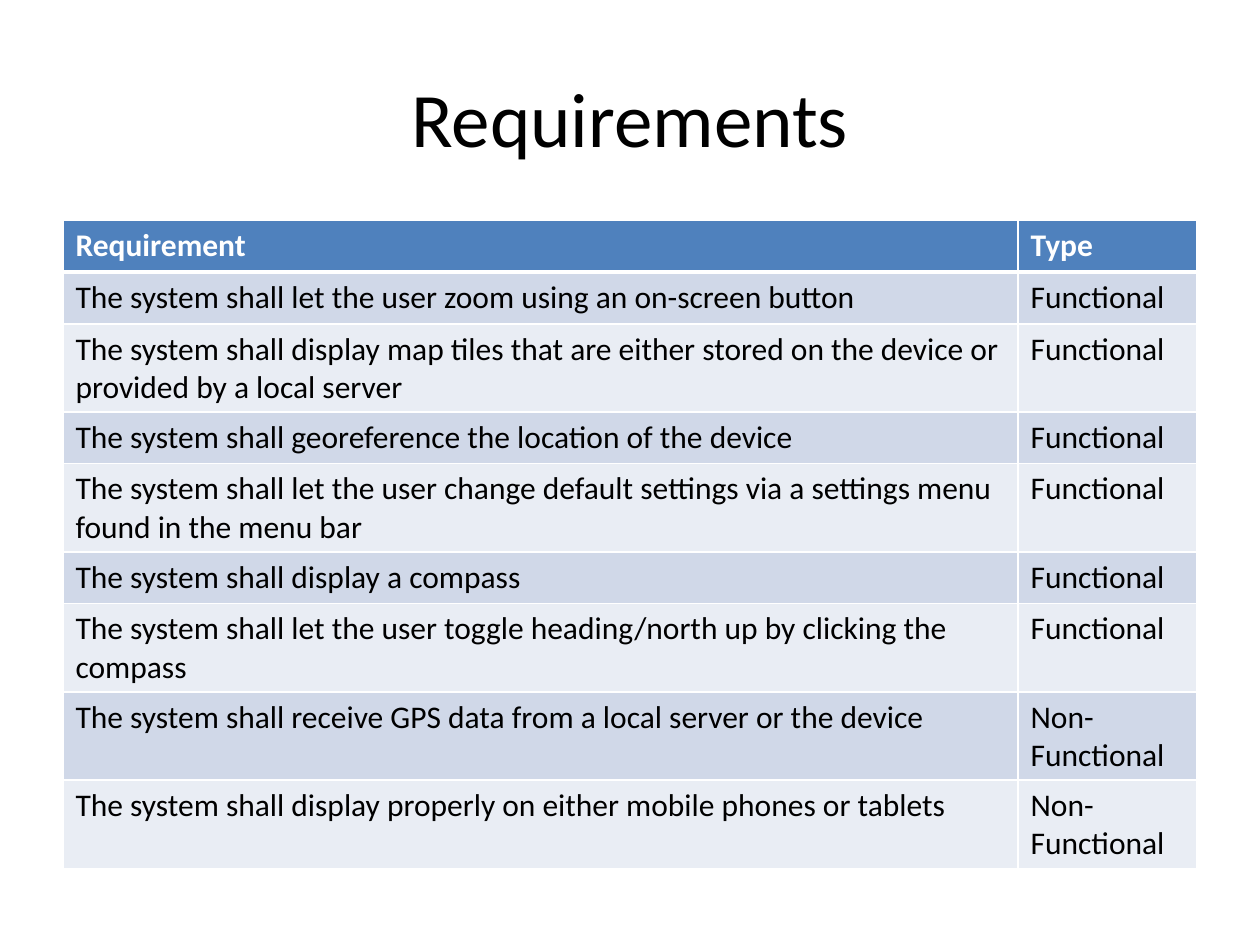
import pptx
import pptx.dml.color
import pptx.enum.text
import pptx.oxml
import pptx.oxml.ns
import pptx.util

TITLE = "Requirements"
HEADINGS = ("Requirement", "Type")
REQUIREMENTS = [
    ("The system shall let the user zoom using an on-screen button", "Functional"),
    ("The system shall display map tiles that are either stored on the device or\n"
     "provided by a local server", "Functional"),
    ("The system shall georeference the location of the device", "Functional"),
    ("The system shall let the user change default settings via a settings menu\n"
     "found in the menu bar", "Functional"),
    ("The system shall display a compass", "Functional"),
    ("The system shall let the user toggle heading/north up by clicking the\n"
     "compass", "Functional"),
    ("The system shall receive GPS data from a local server or the device",
     "Non-Functional"),
    ("The system shall display properly on either mobile phones or tablets",
     "Non-Functional"),
]

THEME = {
    "font": "Calibri", "title_size": 44, "table_size": 18,
    "text": "000000", "heading_text": "FFFFFF", "heading_fill": "4F81BD",
    "bands": ("D0D8E8", "E9EDF4"),
    "border": "FFFFFF", "thin": 1, "thick": 3,
}
WIDTH, HEIGHT, MARGIN = 10, 7.5, 0.5
CONTENT_WIDTH = WIDTH - 2 * MARGIN
TITLE_TOP, TITLE_HEIGHT = 0.04 * HEIGHT, 1.25
TABLE_TOP, TABLE_HEIGHT = 1.75, 5.12
TYPE_WIDTH, ROW_HEIGHT = 1.42, 0.41

inches = pptx.util.Inches


def color(value):
    return pptx.dml.color.RGBColor.from_string(value)


def style_text(frame, size, text_color, bold=False):
    for para in frame.paragraphs:
        para.font.name = THEME["font"]
        para.font.size = pptx.util.Pt(size)
        para.font.color.rgb = color(text_color)
        para.font.bold = bold


def add_borders(cell, bottom):
    """Draw all four edges; the bottom one has its own width in points."""
    edges = {"lnL": THEME["thin"], "lnR": THEME["thin"],
             "lnT": THEME["thin"], "lnB": bottom}
    properties = cell._tc.get_or_add_tcPr()
    for position, (edge, width) in enumerate(edges.items()):
        line = pptx.oxml.parse_xml(
            f'<a:{edge} {pptx.oxml.ns.nsdecls("a")} w="{pptx.util.Pt(width)}">'
            f'<a:solidFill><a:srgbClr val="{THEME["border"]}"/></a:solidFill>'
            f'</a:{edge}>')
        properties.insert(position, line)


def add_title(page):
    box = page.shapes.add_textbox(inches(MARGIN), inches(TITLE_TOP),
                                  inches(CONTENT_WIDTH), inches(TITLE_HEIGHT))
    frame = box.text_frame
    frame.word_wrap = True
    frame.vertical_anchor = pptx.enum.text.MSO_ANCHOR.MIDDLE
    frame.text = TITLE
    frame.paragraphs[0].alignment = pptx.enum.text.PP_ALIGN.CENTER
    style_text(frame, THEME["title_size"], THEME["text"])


def add_requirements(page):
    rows = [HEADINGS, *REQUIREMENTS]
    holder = page.shapes.add_table(
        len(rows), len(HEADINGS), inches(MARGIN), inches(TABLE_TOP),
        inches(CONTENT_WIDTH), inches(ROW_HEIGHT * len(rows)))
    table = holder.table
    for column, width in zip(table.columns, (CONTENT_WIDTH - TYPE_WIDTH, TYPE_WIDTH)):
        column.width = inches(width)
    holder.height = inches(TABLE_HEIGHT)

    for row, texts in enumerate(rows):
        heading = row == 0
        fill = THEME["heading_fill"] if heading else THEME["bands"][(row - 1) % 2]
        text_color = THEME["heading_text" if heading else "text"]
        for column, text in enumerate(texts):
            cell = table.cell(row, column)
            cell.text = text
            style_text(cell.text_frame, THEME["table_size"], text_color, heading)
            cell.fill.solid()
            cell.fill.fore_color.rgb = color(fill)
            add_borders(cell, THEME["thick" if heading else "thin"])
            if row == 1:  # shares its top edge with the heading
                top = cell._tc.tcPr.find(pptx.oxml.ns.qn("a:lnT"))
                top.set("w", str(pptx.util.Pt(THEME["thick"])))


def main():
    deck = pptx.Presentation()
    deck.slide_width, deck.slide_height = inches(WIDTH), inches(HEIGHT)
    page = deck.slides.add_slide(deck.slide_layouts[6])
    add_title(page)
    add_requirements(page)
    deck.save("out.pptx")


if __name__ == "__main__":
    main()
